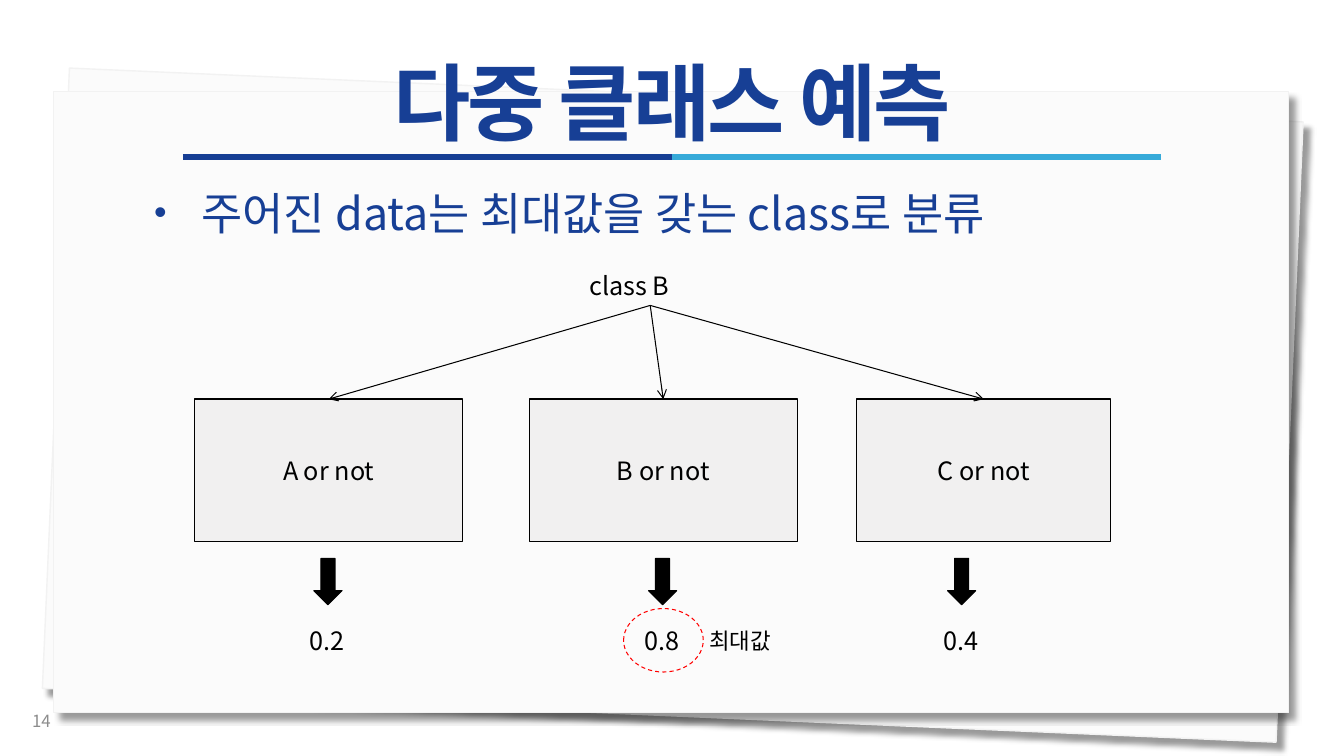
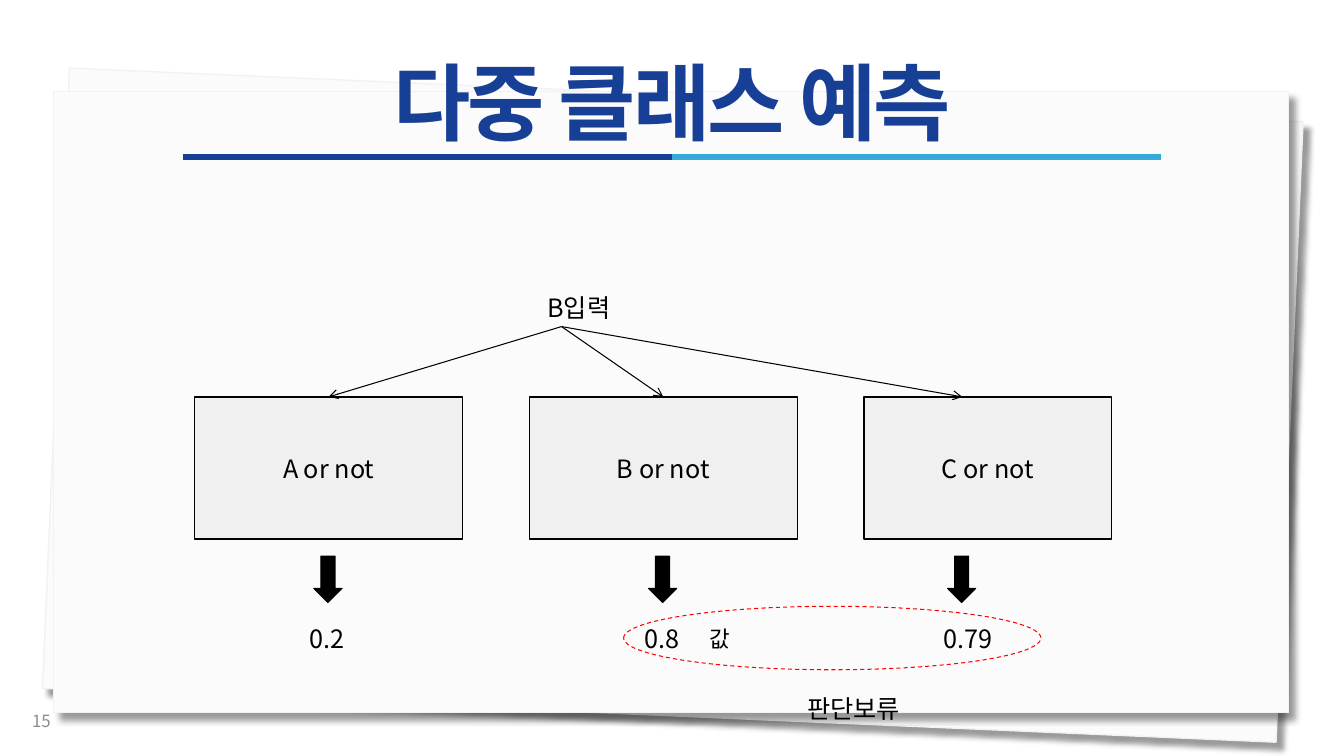
from lxml.etree import SubElement
from pptx import Presentation
from pptx.dml.color import RGBColor
from pptx.enum.dml import MSO_LINE
from pptx.enum.shapes import MSO_CONNECTOR, MSO_SHAPE
from pptx.enum.text import MSO_ANCHOR, MSO_AUTO_SIZE, PP_ALIGN
from pptx.oxml.ns import qn
from pptx.util import Inches, Pt

FONT = "Noto Sans CJK KR"
COLORS = {
    "title": "173F95", "rule_dark": "163E94", "rule_light": "36AAD9",
    "paper": "FBFBFB", "paper_edge": "F2F2F2", "box": "F1F0F0",
    "ink": "000000", "number": "8C8C8C", "mark": "FF0000",
}
TITLE = "다중 클래스 예측"
BOX_TEXTS = ("A or not", "B or not", "C or not")
BOX_LEFT, BOX_STEP, BOX_WIDTH, BOX_HEIGHT = 14.48, 24.9, 19.95, 18.8
CENTERS = (24.4, 49.3, 71.55)


def rgb(name):
    return RGBColor.from_string(COLORS[name])


def apply(target, formats):
    for name, value in formats.items():
        setattr(target, name, value)


class Deck:
    """Style and current slide; lengths are in a grid of 100 columns by 100 rows."""

    def __init__(self):
        self.prs = Presentation()
        apply(self.prs, {"slide_width": Inches(13.333), "slide_height": Inches(7.5)})
        self.layout = self.prs.slide_layouts[5]
        self.s = None

    def col(self, n):
        return round(self.prs.slide_width * n / 100)

    def row(self, n):
        return round(self.prs.slide_height * n / 100)

    def area(self, x, y, w, h):
        return self.col(x), self.row(y), self.col(w), self.row(h)

    def slide(self, title, number):
        first = self.s is None
        self.s = self.prs.slides.add_slide(self.layout)
        if first:
            self.backdrop()
        sp = self.s.shapes.title
        names = ("left", "top", "width", "height")
        apply(sp, dict(zip(names, self.area(0, 7.47, 100, 12))))
        tf = sp.text_frame
        apply(tf, {"vertical_anchor": MSO_ANCHOR.TOP, "auto_size": MSO_AUTO_SIZE.NONE})
        p, r = self.add_run(tf, title, 60, "title", bold=True)
        apply(p, {"alignment": PP_ALIGN.CENTER, "line_spacing": 0.9})
        r.font._element.set("spc", "-190")
        tf = self.text(str(number), 1.65, 92.67, 22.5, 5.33, size=12, color="number")
        apply(tf, {"vertical_anchor": MSO_ANCHOR.MIDDLE, "auto_size": MSO_AUTO_SIZE.NONE})

    def backdrop(self):
        """Put the stacked papers and the title rule on the shared layout."""
        parts = []
        for x, y, angle in ((4.12, 12.53, 2.5), (4, 12.13, 0)):
            sp = self.shape(MSO_SHAPE.RECTANGLE, x, y, 91.88, 82.13, "paper", "paper_edge", 1)
            sp.rotation = angle
            self.cast_shadow(sp)
            parts.append(sp)
        for start, end, color in ((13.6, 50, "rule_dark"), (50, 86.4, "rule_light")):
            parts.append(self.line((start, 20.8), (end, 20.8), color, 4.5))
        for part in parts:
            self.layout.shapes.element.append(part.element)

    def cast_shadow(self, sp):
        effects = sp.element.spPr.find(qn("a:effectLst"))
        shadow = SubElement(effects, qn("a:outerShdw"), blurRad=str(Pt(4)), dist=str(Pt(7)),
                            dir="2700000", algn="tl", rotWithShape="0")
        color = SubElement(shadow, qn("a:srgbClr"), val=COLORS["ink"])
        SubElement(color, qn("a:alpha"), val="40000")

    def add_run(self, tf, text, size, color, bold=False):
        p = tf.paragraphs[0]
        r = p.add_run()
        r.text = text
        apply(r.font, {"name": FONT, "size": Pt(size), "bold": bold})
        r.font.color.rgb = rgb(color)
        SubElement(r.font._element, qn("a:ea"), typeface=FONT)
        return p, r

    def text(self, text, x, y, w, h=5.33, size=18, color="ink"):
        tf = self.s.shapes.add_textbox(*self.area(x, y, w, h)).text_frame
        apply(tf, {"word_wrap": True, "auto_size": MSO_AUTO_SIZE.SHAPE_TO_FIT_TEXT})
        self.add_run(tf, text, size, color)
        return tf

    def bullet(self, text):
        p = self.text(text, 10.58, 23.87, 79.4, 8.53, 32, "title").paragraphs[0]
        p.space_after = Pt(18)
        pPr = p._p.get_or_add_pPr()
        pPr.set("marL", str(Inches(0.49)))
        pPr.set("indent", str(Inches(-0.47)))
        SubElement(pPr, qn("a:buSzPct"), val="80000")
        SubElement(pPr, qn("a:buFont"), typeface="Arial")
        SubElement(pPr, qn("a:buChar"), char="•")

    def shape(self, kind, x, y, w, h, fill=None, line="ink", weight=0.75, text=None):
        sp = self.s.shapes.add_shape(kind, *self.area(x, y, w, h))
        sp.shadow.inherit = False
        if fill:
            sp.fill.solid()
            sp.fill.fore_color.rgb = rgb(fill)
        else:
            sp.fill.background()
        sp.line.color.rgb = rgb(line)
        sp.line.width = Pt(weight)
        if text:
            tf = sp.text_frame
            tf.vertical_anchor = MSO_ANCHOR.MIDDLE
            p, _ = self.add_run(tf, text, 18, "ink")
            p.alignment = PP_ALIGN.CENTER
        return sp

    def line(self, start, end, color="ink", weight=0.75, arrow=False):
        (x1, y1), (x2, y2) = start, end
        cxn = self.s.shapes.add_connector(MSO_CONNECTOR.STRAIGHT, self.col(x1), self.row(y1),
                                          self.col(x2), self.row(y2))
        cxn.line.color.rgb = rgb(color)
        cxn.line.width = Pt(weight)
        if arrow:
            SubElement(cxn.line._get_or_add_ln(), qn("a:tailEnd"), type="arrow")
        SubElement(cxn.element.spPr, qn("a:effectLst"))
        return cxn

    def classifiers(self, top, last_box, source, targets, values, ring_width, note):
        """Draw the three classifiers, their inputs and scores, and the ringed result."""
        for i, (text, center, value) in enumerate(zip(BOX_TEXTS, CENTERS, values)):
            x, w = last_box if i == 2 else (BOX_LEFT + BOX_STEP * i, BOX_WIDTH)
            self.shape(MSO_SHAPE.RECTANGLE, x, top, w, BOX_HEIGHT, "box", weight=1, text=text)
            self.shape(MSO_SHAPE.DOWN_ARROW, center - 1.05, top + 21.07, 2.1, 6.13, "ink")
            self.text(value, center - 2.1, top + 29.3, 6.8)
        ring = self.shape(MSO_SHAPE.OVAL, 46.4, top + 27.7, ring_width, 8.4, line="mark")
        ring.line.dash_style = MSO_LINE.DASH
        self.text(note, 52.05, top + 29.5, 8.03, 4.93, size=16)
        for x in targets:
            self.line(source, (x, top), arrow=True)


def main():
    deck = Deck()

    deck.slide(TITLE, 14)
    deck.bullet("주어진 data는 최대값을 갖는 class로 분류")
    deck.text("class B", 43.13, 35.07, 10.4)
    deck.classifiers(top=52.8, last_box=(63.75, 18.9), source=(48.38, 40.4),
                     targets=(24.45, 49.35, 73.2), values=("0.2", "0.8", "0.4"),
                     ring_width=5.93, note="최대값")

    deck.slide(TITLE, 15)
    deck.text("B입력", 39.98, 38, 19.35)
    deck.classifiers(top=52.5, last_box=(64.28, 18.45), source=(41.78, 43.2),
                     targets=(24.45, 49.35, 71.6), values=("0.2", "0.8", "0.79"),
                     ring_width=31.05, note="값")
    deck.text("판단보류", 59.33, 91.07, 11.7)

    deck.prs.save("out.pptx")


if __name__ == "__main__":
    main()
